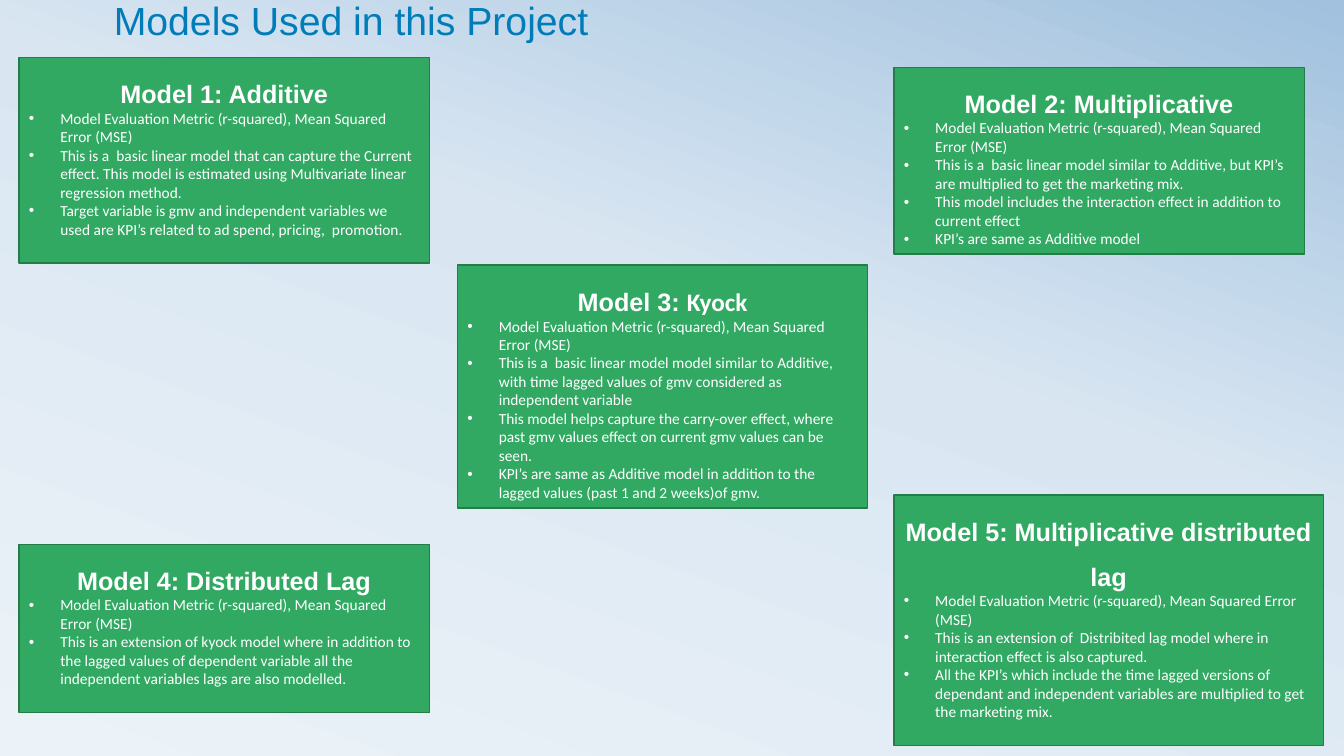
from copy import deepcopy

from lxml.etree import SubElement
from pptx import Presentation
from pptx.dml.color import RGBColor
from pptx.enum.shapes import MSO_SHAPE
from pptx.enum.text import MSO_ANCHOR, PP_ALIGN
from pptx.oxml.ns import qn
from pptx.util import Cm, Pt

TITLE_BLUE = RGBColor(0x00, 0x7D, 0xB8)
CARD_GREEN = RGBColor(0x31, 0xA9, 0x62)
EDGE_GREEN = RGBColor(0x24, 0x7D, 0x49)
WHITE = RGBColor(0xFF, 0xFF, 0xFF)
SKY_STOPS = [
    (0, RGBColor(0xEC, 0xF3, 0xF8)),
    (0.58, RGBColor(0xD9, 0xE6, 0xF2)),
    (1, RGBColor(0xA1, 0xC1, 0xDE)),
]

CARD_WIDTH = 10.34
LEFT, MIDDLE, RIGHT = 0.48, 11.53, 22.53
TIGHT, ROOMY = 0.13, 0.6  # space below the last bullet
METRIC = "Model Evaluation Metric (r-squared), Mean Squared Error (MSE)"

# name, name font, (left, top, width, height) in cm, bottom inset, bullets after METRIC
MODELS = [
    ("Additive", "Arial", (LEFT, 1.45, CARD_WIDTH, 5.18), ROOMY, [
        "This is a  basic linear model that can capture the Current effect. "
        "This model is estimated using Multivariate linear regression method.",
        "Target variable is gmv and independent variables we used are KPI’s "
        "related to ad spend, pricing,  promotion.",
    ]),
    ("Multiplicative", "Arial", (RIGHT, 1.7, CARD_WIDTH, 4.7), TIGHT, [
        "This is a  basic linear model similar to Additive, but KPI’s are "
        "multiplied to get the marketing mix.",
        "This model includes the interaction effect in addition to current effect",
        "KPI’s are same as Additive model",
    ]),
    ("Kyock", "Calibri", (MIDDLE, 6.68, CARD_WIDTH, 6.12), TIGHT, [
        "This is a  basic linear model model similar to Additive, with time "
        "lagged values of gmv considered as independent variable",
        "This model helps capture the carry-over effect, where past gmv values "
        "effect on current gmv values can be seen.",
        "KPI’s are same as Additive model in addition to the lagged values "
        "(past 1 and 2 weeks)of gmv.",
    ]),
    ("Distributed Lag", "Arial", (LEFT, 13.72, CARD_WIDTH, 4.24), ROOMY, [
        "This is an extension of kyock model where in addition to the lagged "
        "values of dependent variable all the independent variables lags are "
        "also modelled.",
    ]),
    ("Multiplicative distributed lag", "Arial", (RIGHT, 12.47, 10.82, 6.32), ROOMY, [
        "This is an extension of  Distribited lag model where in interaction "
        "effect is also captured.",
        "All the KPI’s which include the time lagged versions of dependant and "
        "independent variables are multiplied to get the marketing mix.",
    ]),
]


def paint_background(page):
    fill = page.background.fill
    fill.gradient()
    fill.gradient_angle = 70
    stop_list = page.element.find(".//" + qn("a:gsLst"))
    stop_list.append(deepcopy(stop_list[-1]))
    for stop, (position, color) in zip(fill.gradient_stops, SKY_STOPS):
        stop.position = position
        stop.color.rgb = color


def set_font(paragraph, name, size, color, bold=False):
    font = paragraph.font
    font.name, font.size, font.bold = name, Pt(size), bold
    font.color.rgb = color


def add_title(page, text):
    box = page.shapes.add_textbox(Cm(0.05), Cm(-0.08), Cm(33.3), Cm(1.37))
    frame = box.text_frame
    frame.word_wrap = True
    frame.margin_left, frame.margin_right = Cm(2.82), 0
    para = frame.paragraphs[0]
    para.text = text
    para.line_spacing = 0.9
    set_font(para, "Arial", 28, TITLE_BLUE)


def add_bullet(frame, text):
    para = frame.add_paragraph()
    para.text = text
    para.alignment = PP_ALIGN.LEFT
    set_font(para, "Calibri", 11, WHITE)
    properties = para._p.get_or_add_pPr()
    properties.set("marL", str(Cm(0.79)))
    properties.set("indent", str(Cm(-0.79)))
    # Bullet elements must come before the paragraph's default run properties.
    defaults = properties.find(qn("a:defRPr"))
    font = SubElement(properties, qn("a:buFont"), typeface="Arial")
    mark = SubElement(properties, qn("a:buChar"), char="•")
    defaults.addprevious(font)
    defaults.addprevious(mark)


def add_model_card(page, number, name, name_font, place, bottom, bullets):
    card = page.shapes.add_shape(MSO_SHAPE.RECTANGLE, *map(Cm, place))
    card.shadow.inherit = False
    card.fill.solid()
    card.fill.fore_color.rgb = CARD_GREEN
    card.line.color.rgb = EDGE_GREEN
    card.line.width = Pt(1)

    frame = card.text_frame
    frame.word_wrap = True
    frame.vertical_anchor = MSO_ANCHOR.MIDDLE
    frame.margin_bottom = Cm(bottom)
    heading = frame.paragraphs[0]
    heading.alignment = PP_ALIGN.CENTER
    heading.line_spacing = 1.5
    set_font(heading, "Arial", 18, WHITE, bold=True)
    heading.add_run().text = f"Model {number}: "
    span = heading.add_run()
    span.text = name
    span.font.name = name_font
    for bullet in [METRIC, *bullets]:
        add_bullet(frame, bullet)


def main():
    deck = Presentation()
    deck.slide_width, deck.slide_height = Cm(33.87), Cm(19.05)
    page = deck.slides.add_slide(deck.slide_layouts[6])
    paint_background(page)
    add_title(page, "Models Used in this Project")
    for number, model in enumerate(MODELS, start=1):
        add_model_card(page, number, *model)
    deck.save("out.pptx")


if __name__ == "__main__":
    main()
